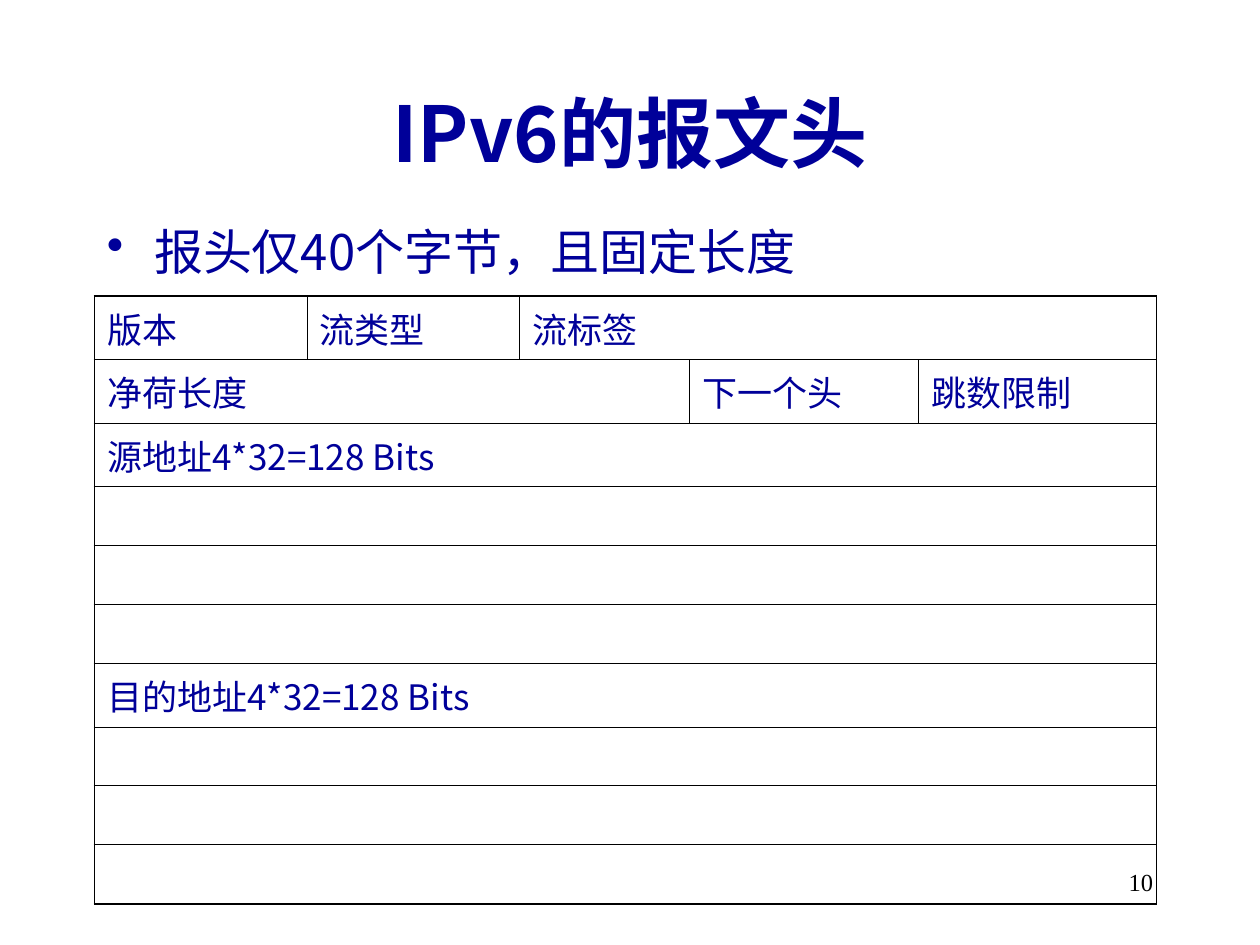
"""Build a slide showing the IPv6 packet header layout."""
from lxml.etree import SubElement, fromstring
from pptx import Presentation
from pptx.dml.color import RGBColor as Rgb
from pptx.enum.text import MSO_ANCHOR as Anchor, PP_ALIGN as Align
from pptx.oxml.ns import nsdecls, qn
from pptx.util import Pt

COLORS = {"text": "000099", "line": "000000"}
SANS, SERIF = "Noto Sans CJK SC", "Times New Roman"


def write(frame, text, size, face=SANS, color="text", bold=False, align=Align.LEFT):
    paragraph = frame.paragraphs[0]
    paragraph.text = text
    paragraph.alignment = align
    font = paragraph.font
    font.size, font.name, font.bold = Pt(size), face, bold
    font.color.rgb = Rgb.from_string(COLORS[color])
    SubElement(paragraph._p.pPr.find(qn("a:defRPr")), qn("a:ea"), typeface=face)
    return paragraph


def add_text(left, top, width, height, text, size, anchor=Anchor.TOP, **style):
    frame = slide.shapes.add_textbox(Pt(left), Pt(top), Pt(width), Pt(height)).text_frame
    frame.word_wrap = True
    frame.vertical_anchor = anchor
    return write(frame, text, size, **style)


prs = Presentation()
prs.slide_width, prs.slide_height = Pt(720), Pt(540)
slide = prs.slides.add_slide(prs.slide_layouts[6])

add_text(516, 492, 150, 36, "10", 14, face=SERIF, color="line", align=Align.RIGHT)
add_text(54, 30, 612, 90, "IPv6的报文头", 44, anchor=Anchor.MIDDLE, bold=True, align=Align.CENTER)
summary = add_text(54, 123, 606, 52, "报头仅40个字节，且固定长度", 28)
summary.space_before = Pt(7)
summary_props = summary._p.pPr
summary_props.set("marL", str(Pt(27)))
summary_props.set("indent", str(-Pt(27)))
summary_props.find(qn("a:defRPr")).addprevious(
    fromstring(f'<a:buChar {nsdecls("a")} char="•"/>'))

COLUMN_WIDTHS = [121.5, 121.5, 97, 131, 136]
WHOLE = len(COLUMN_WIDTHS)
BLANK = [("", WHOLE)]
FIELDS = [
    [("版本", 1), ("流类型", 1), ("流标签", 3)],
    [("净荷长度", 3), ("下一个头", 1), ("跳数限制", 1)],
    [("源地址4*32=128 Bits", WHOLE)], *[BLANK] * 3,
    [("目的地址4*32=128 Bits", WHOLE)], *[BLANK] * 3,
]
row_heights = [33.7 if fields is BLANK else 36.3 for fields in FIELDS]
header = slide.shapes.add_table(len(FIELDS), WHOLE, Pt(54), Pt(169.2),
                                Pt(sum(COLUMN_WIDTHS)), Pt(sum(row_heights))).table
header.first_row = header.horz_banding = False
for column, width in zip(header.columns, COLUMN_WIDTHS):
    column.width = Pt(width)
for row, height in zip(header.rows, row_heights):
    row.height = Pt(height)
    for cell in row.cells:
        cell.fill.background()

for r, fields in enumerate(FIELDS):
    start = 0
    for label, span in fields:
        end = start + span
        field = header.cell(r, start)
        if span > 1:
            field.merge(header.cell(r, end - 1))
        field.vertical_anchor = Anchor.MIDDLE
        if label:
            write(field.text_frame, label, 20).space_before = Pt(5)
        outer_edges = {"lnL": start == 0, "lnR": end == WHOLE,
                       "lnT": r == 0, "lnB": r == len(FIELDS) - 1}
        for position, (edge, outer) in enumerate(outer_edges.items()):
            border = fromstring(
                f'<a:{edge} {nsdecls("a")} w="{Pt(1.08 if outer else 0.45)}"><a:solidFill>'
                f'<a:srgbClr val="{COLORS["line"]}"/></a:solidFill></a:{edge}>')
            field._tc.get_or_add_tcPr().insert(position, border)
        start = end

prs.save("out.pptx")
